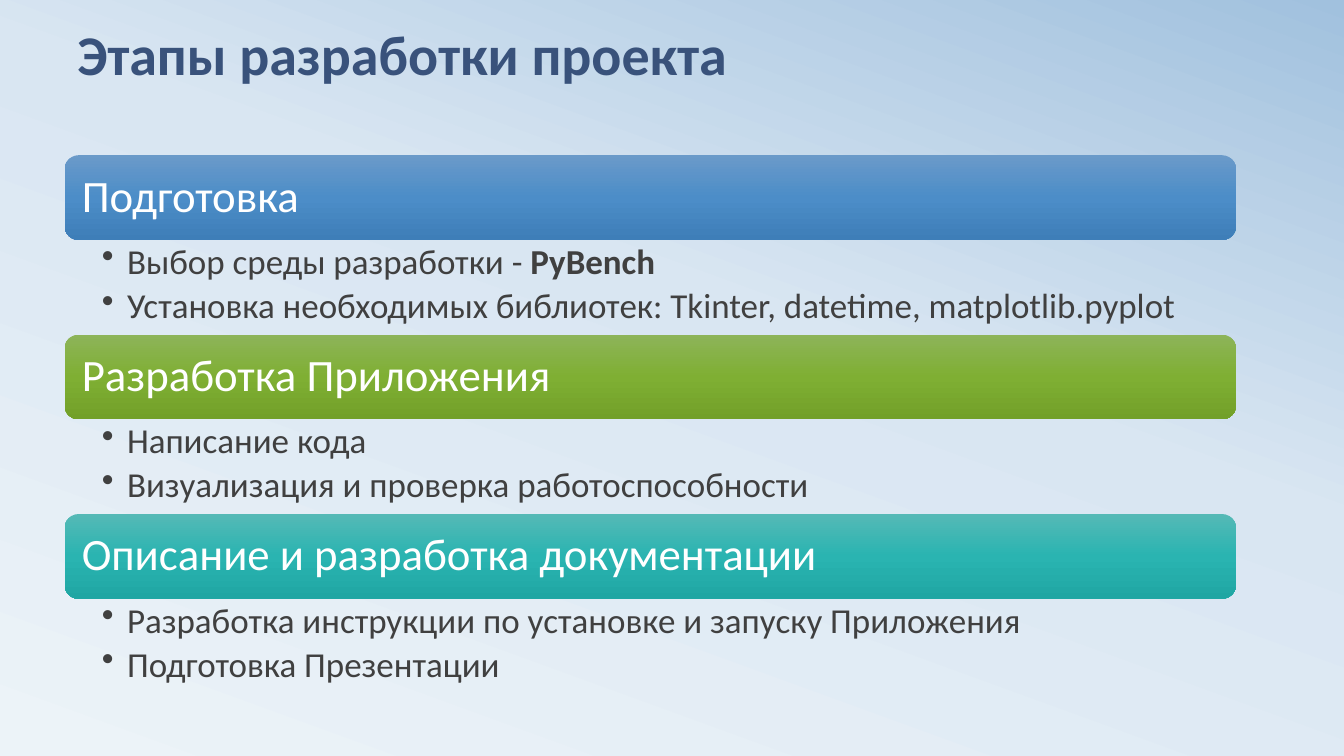
"""Build the slide that lists the stages of the project."""
from lxml.etree import SubElement
from pptx import Presentation
from pptx.dml.color import RGBColor
from pptx.enum.shapes import MSO_SHAPE as Shape
from pptx.enum.text import MSO_ANCHOR as Anchor, PP_ALIGN as Align
from pptx.oxml.ns import qn
from pptx.util import Inches, Pt

COLORS = {
    "title": "39527B",
    "heading": "FFFFFF",
    "body": "404040",
    "background": [(0, "ECF3F8"), (58, "D9E6F2"), (100, "A1C1DE")],
    "blue": [(0, "6A9AC9"), (50, "4C8DC8"), (100, "3E7EB8")],
    "green": [(0, "8DB459"), (50, "7FAF33"), (100, "72A029")],
    "teal": [(0, "55B9B6"), (50, "2AB4B1"), (100, "1FA6A3")],
}
STAGES = [
    ("Подготовка", "blue", [
        [("Выбор среды разработки - ", False), ("PyBench", True)],
        [("Установка необходимых библиотек: Tkinter, datetime, matplotlib.pyplot", False)],
    ]),
    ("Разработка Приложения", "green", [
        [("Написание кода", False)],
        [("Визуализация и проверка работоспособности", False)],
    ]),
    ("Описание и разработка документации", "teal", [
        [("Разработка инструкции по установке и запуску Приложения", False)],
        [("Подготовка Презентации", False)],
    ]),
]
LEFT, TOP, WIDTH = 0.64, 1.54, 11.62
BAR_HEIGHT, LIST_HEIGHT = 0.84, 0.94


def paint_gradient(fill, element, color, angle):
    """Fill with the named gradient, its angle counted counter-clockwise."""
    fill.gradient()
    fill.gradient_angle = angle
    stops = next(element.iter(qn("a:gsLst")))
    stops.clear()
    for position, value in COLORS[color]:
        stop = SubElement(stops, qn("a:gs"), pos=str(position * 1000))
        SubElement(stop, qn("a:srgbClr"), val=value)


def write(frame, paragraphs, size, color, margins, anchor=Anchor.MIDDLE,
          line_spacing=0.9, space_after=0, bullet=False):
    """Write paragraphs of (text, bold) runs into a text frame."""
    frame.word_wrap = True
    frame.vertical_anchor = anchor
    (frame.margin_left, frame.margin_top,
     frame.margin_right, frame.margin_bottom) = map(Inches, margins)
    for number, runs in enumerate(paragraphs):
        paragraph = frame.add_paragraph() if number else frame.paragraphs[0]
        paragraph.alignment = Align.LEFT
        paragraph.line_spacing = line_spacing
        paragraph.space_after = Pt(space_after)
        if bullet:
            properties = paragraph._p.get_or_add_pPr()
            properties.set("marL", str(Inches(0.25)))
            properties.set("indent", str(Inches(-0.25)))
            SubElement(properties, qn("a:buChar"), char="•")
        for text, bold in runs:
            run = paragraph.add_run()
            run.text = text
            run.font.name = "Calibri"
            run.font.size = Pt(size)
            run.font.bold = bold
            run.font.color.rgb = RGBColor.from_string(COLORS[color])


deck = Presentation()
deck.slide_width, deck.slide_height = Inches(13.33), Inches(7.5)
slide = deck.slides.add_slide(deck.slide_layouts[6])
paint_gradient(slide.background.fill, slide._element, "background", 70)

for index, (heading, color, steps) in enumerate(STAGES):
    top = TOP + index * (BAR_HEIGHT + LIST_HEIGHT)
    bar = slide.shapes.add_shape(Shape.ROUNDED_RECTANGLE, Inches(LEFT), Inches(top),
                                 Inches(WIDTH), Inches(BAR_HEIGHT))
    bar.shadow.inherit = False
    bar.line.fill.background()
    paint_gradient(bar.fill, bar._element, color, 270)
    write(bar.text_frame, [[(heading, False)]], size=32, color="heading",
          margins=(0.13, 0.13, 0.13, 0.13))

    step_list = slide.shapes.add_textbox(Inches(LEFT), Inches(top + BAR_HEIGHT),
                                         Inches(WIDTH), Inches(LIST_HEIGHT))
    write(step_list.text_frame, steps, size=25, color="body",
          margins=(0.37, 0.04, 0.25, 0.04), anchor=Anchor.TOP,
          space_after=4.5, bullet=True)

title = slide.shapes.add_textbox(Inches(0.67), Inches(-0.27), Inches(12), Inches(1.17))
write(title.text_frame, [[("Этапы разработки проекта", True)]], size=40, color="title",
      margins=(0.1, 0.05, 0.1, 0.05), anchor=Anchor.BOTTOM, line_spacing=0.8)

deck.save("out.pptx")
